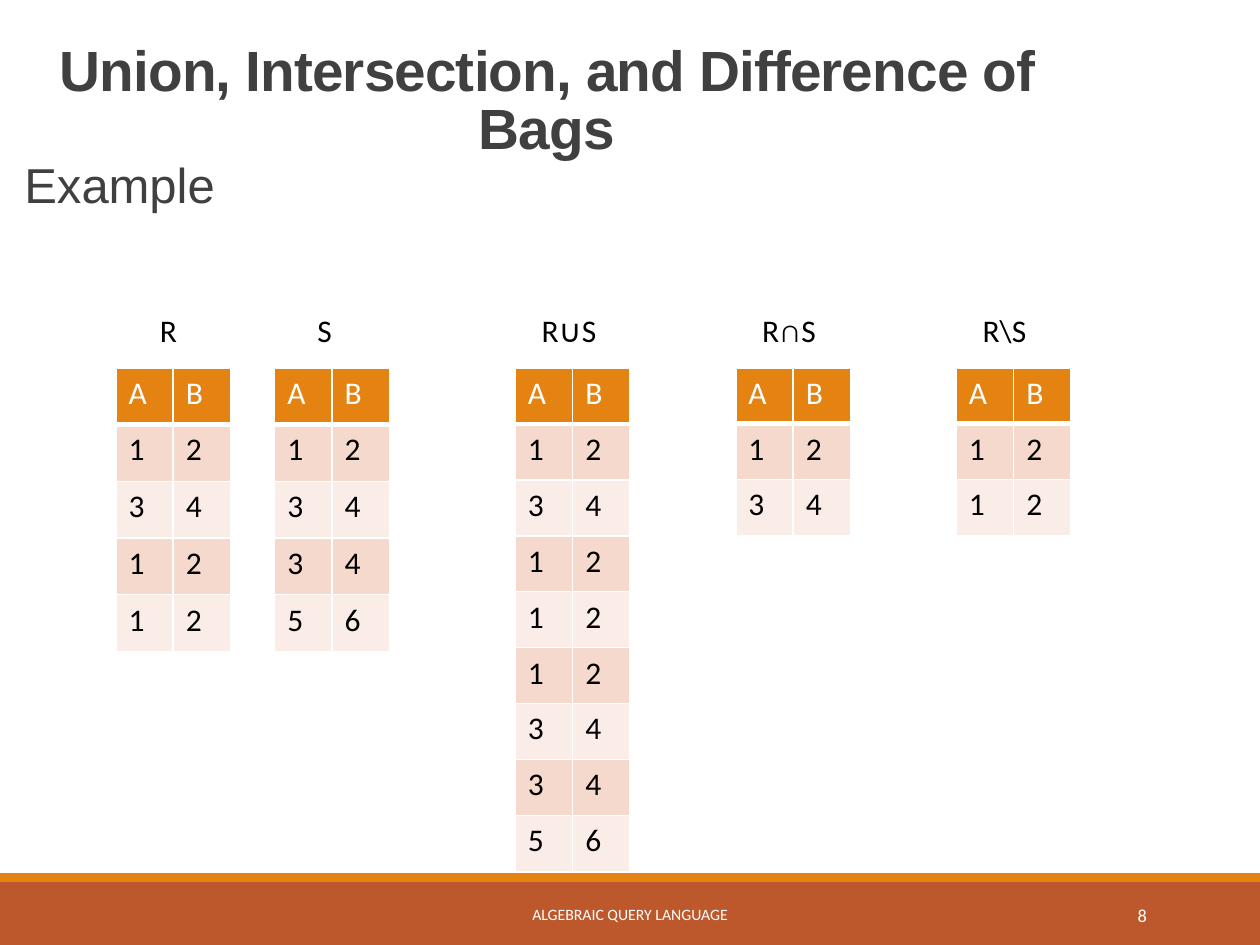
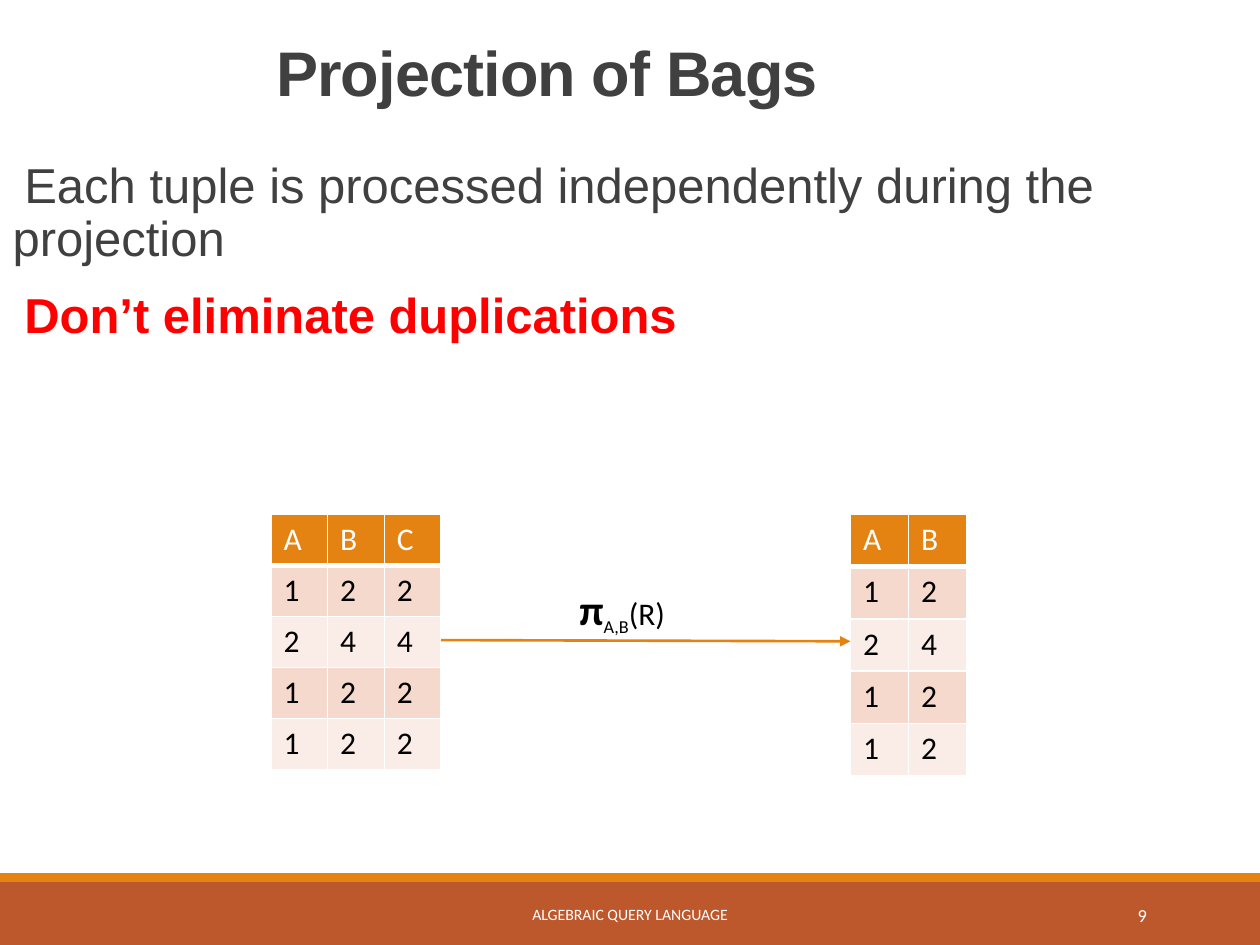
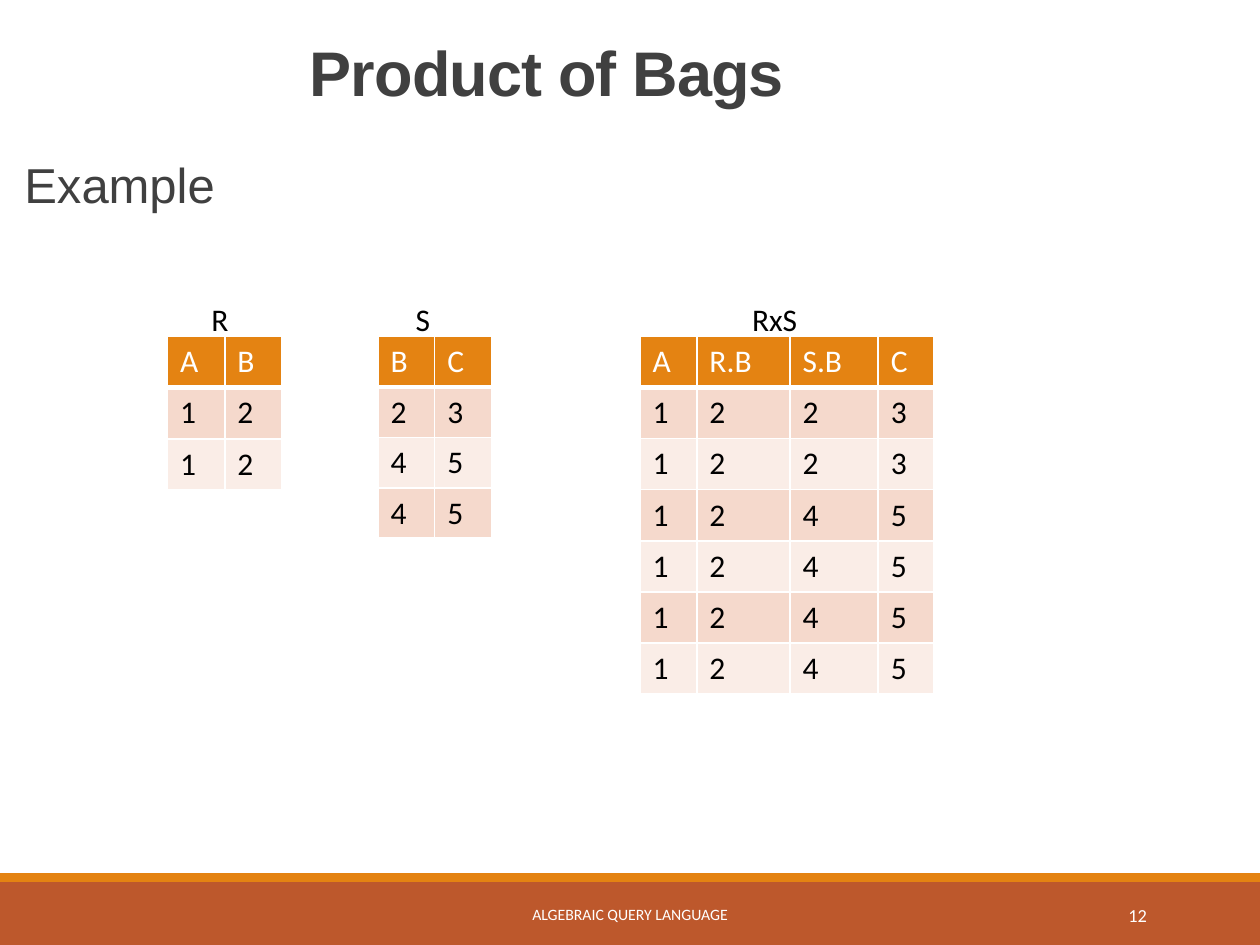
from dataclasses import dataclass
from typing import NamedTuple

from lxml import etree
from pptx import Presentation
from pptx.dml.color import RGBColor
from pptx.enum.shapes import MSO_CONNECTOR, MSO_SHAPE
from pptx.enum.text import MSO_ANCHOR, MSO_AUTO_SIZE, PP_ALIGN
from pptx.oxml.ns import qn
from pptx.util import Inches, Pt

LEFT, CENTER, RIGHT = PP_ALIGN.LEFT, PP_ALIGN.CENTER, PP_ALIGN.RIGHT
TOP, MIDDLE = MSO_ANCHOR.TOP, MSO_ANCHOR.MIDDLE
FIT_SHAPE = MSO_AUTO_SIZE.SHAPE_TO_FIT_TEXT
STRAIGHT, RECTANGLE = MSO_CONNECTOR.STRAIGHT, MSO_SHAPE.RECTANGLE


@dataclass(frozen=True)
class Theme:
    """Colours, fonts and type sizes of the deck."""
    rust: RGBColor = RGBColor(0xBD, 0x58, 0x2C)
    orange: RGBColor = RGBColor(0xE4, 0x83, 0x12)
    band_dark: RGBColor = RGBColor(0xF5, 0xD9, 0xCC)
    band_light: RGBColor = RGBColor(0xFA, 0xED, 0xE7)
    white: RGBColor = RGBColor(0xFF, 0xFF, 0xFF)
    black: RGBColor = RGBColor(0, 0, 0)
    grey: RGBColor = RGBColor(0x40, 0x40, 0x40)
    red: RGBColor = RGBColor(0xFF, 0, 0)
    heading_font: str = "Arial"
    table_font: str = "Calibri"
    title_size: float = 36
    long_title_size: float = 32.4
    body_size: float = 28
    operator_size: float = 24
    table_size: float = 18
    page_size: float = 10.5
    footer_size: float = 9


class Box(NamedTuple):
    """A region in inches."""
    left: float
    top: float
    width: float
    height: float

    def emu(self):
        """Return the region as slide lengths."""
        return [Inches(length) for length in self]


THEME = Theme()
FOOTER = Box(0, 6.93, 10, 0.57)
TITLE = Box(0, 0.31, 8.68, 0.92)
BODY = Box(0, 1.23, 8.68, 5.54)


def style_run(run, size, color, font=THEME.table_font, bold=False):
    """Set the character format of a run."""
    run.font.size = Pt(size)
    run.font.name = font
    run.font.bold = bold
    run.font.color.rgb = color


def add_text(slide, box, text, size, color, align=LEFT, anchor=TOP, wrap=True):
    """Add a one-paragraph text box and return its frame."""
    frame = slide.shapes.add_textbox(*box.emu()).text_frame
    frame.word_wrap = wrap
    frame.vertical_anchor = anchor
    if not wrap:
        frame.auto_size = FIT_SHAPE
    paragraph = frame.paragraphs[0]
    paragraph.text = text
    paragraph.alignment = align
    style_run(paragraph.runs[0], size, color)
    return frame


def add_footer(slide, box, page):
    """Draw the two bands with the course name and page number."""
    stripe = 0.07
    bands = (
        (Box(box.left, box.top + stripe, box.width, box.height - stripe), THEME.rust),
        (Box(box.left, box.top, box.width, stripe), THEME.orange),
    )
    for area, color in bands:
        band = slide.shapes.add_shape(RECTANGLE, *area.emu())
        band.shadow.inherit = False
        band.fill.solid()
        band.fill.fore_color.rgb = color
        band.line.fill.background()
    text_top = box.top + 0.13
    add_text(slide, Box(box.left + 3.02, text_top, 3.96, 0.4), "ALGEBRAIC QUERY LANGUAGE",
             THEME.footer_size, THEME.white, CENTER, MIDDLE)
    add_text(slide, Box(box.left + 8.12, text_top, 1.08, 0.4), str(page),
             THEME.page_size, THEME.white, RIGHT, MIDDLE)


def add_title(slide, box, title, size):
    """Add the centred bold title."""
    frame = add_text(slide, box, title, size, THEME.grey, CENTER)
    paragraph = frame.paragraphs[0]
    paragraph.line_spacing = 0.85
    run = paragraph.runs[0]
    style_run(run, size, THEME.grey, THEME.heading_font, True)
    run.font._element.set("spc", "-50")


def add_body(slide, box, statement, warning=None):
    """Add the statement and an optional red warning."""
    frame = slide.shapes.add_textbox(*box.emu()).text_frame
    frame.word_wrap = True
    frame.margin_left = frame.margin_right = 0
    frame.text = f"{statement}\n{warning}" if warning else statement
    for paragraph in frame.paragraphs:
        is_warning = paragraph.text == warning
        paragraph.line_spacing = 0.9
        paragraph.space_before, paragraph.space_after = Pt(12), Pt(2)
        style_run(paragraph.runs[0], THEME.body_size, THEME.red if is_warning else THEME.grey,
                  THEME.heading_font, is_warning)
        properties = paragraph._p.get_or_add_pPr()
        properties.set("marL", str(Inches(0.1)))
        properties.set("indent", str(Inches(-0.1)))
        etree.SubElement(properties, qn("a:buChar")).set("char", " ")


def add_borders(cell, bottom_width):
    """Give a cell white borders."""
    properties = cell._tc.get_or_add_tcPr()
    for side, width in (("L", 1), ("R", 1), ("T", 1), ("B", bottom_width)):
        border = etree.SubElement(properties, qn(f"a:ln{side}"), w=str(Pt(width)))
        fill = etree.SubElement(border, qn("a:solidFill"))
        etree.SubElement(fill, qn("a:srgbClr"), val=str(THEME.white))


def add_relation(slide, box, header, tuples, widths=None):
    """Draw a relation as a table with banded tuples."""
    rows = [header, *tuples]
    table = slide.shapes.add_table(len(rows), len(header), *box.emu()).table
    table.horz_banding = False
    for column, width in zip(table.columns, widths or [box.width / len(header)] * len(header)):
        column.width = Inches(width)
    for index, values in enumerate(rows):
        table.rows[index].height = Inches(box.height / len(rows))
        is_header = index == 0
        banding = THEME.band_dark if index % 2 else THEME.band_light
        for column, value in enumerate(values):
            cell = table.cell(index, column)
            add_borders(cell, 3 if is_header else 1)
            cell.fill.solid()
            cell.fill.fore_color.rgb = THEME.orange if is_header else banding
            cell.text_frame.text = str(value)
            style_run(cell.text_frame.paragraphs[0].runs[0], THEME.table_size,
                      THEME.white if is_header else THEME.black)


def add_relation_name(slide, box, name):
    """Write the name of a relation above its table."""
    add_text(slide, box, name, THEME.table_size, THEME.black, wrap=False)


def add_projection_arrow(slide, box):
    """Draw the arrow with the projection operator above it."""
    arrow = slide.shapes.add_connector(
        STRAIGHT, Inches(box.left), Inches(box.top + 0.5),
        Inches(box.left + box.width), Inches(box.top + box.height))
    arrow.line.color.rgb = THEME.orange
    arrow.line.width = Pt(1.5)
    etree.SubElement(arrow.line._get_or_add_ln(), qn("a:tailEnd"), type="triangle")
    etree.SubElement(arrow._element.spPr, qn("a:effectLst"))

    frame = add_text(slide, Box(box.left + 1, box.top, 1.02, 0.5), "π",
                     THEME.operator_size, THEME.black, wrap=False)
    paragraph = frame.paragraphs[0]
    paragraph.runs[0].font.bold = True
    for part in ("A,B", "(R)"):
        run = paragraph.add_run()
        run.text = part
        style_run(run, THEME.table_size, THEME.black)
    paragraph.runs[1].font._element.set("baseline", "-25000")


def start_slide(deck, page, title, statement, warning=None, title_size=THEME.title_size):
    """Add a slide with its footer, title and body text."""
    slide = deck.slides.add_slide(deck.slide_layouts[6])
    add_footer(slide, FOOTER, page)
    add_body(slide, BODY, statement, warning)
    add_title(slide, TITLE, title, title_size)
    return slide


def build_set_operations(deck):
    """Build the union, intersection and difference slide."""
    slide = start_slide(deck, 8, "Union, Intersection, and Difference of Bags", "Example",
                        title_size=THEME.long_title_size)
    r = [(1, 2), (3, 4), (1, 2), (1, 2)]
    s = [(1, 2), (3, 4), (3, 4), (5, 6)]
    top, result_left, result_step = 2.92, 4.09, 1.75
    relations = [
        ("R", r, 0.92, 2.25, 0.25, 0.38),
        ("S", s, 2.18, 2.25, 0.24, 0.34),
        ("R∪S", r + s, result_left, 4, 0.11, 0.72),
        ("R∩S", [(1, 2), (3, 4)], result_left + result_step, 1.33, 0.11, 0.72),
        (r"R\S", [(1, 2), (1, 2)], result_left + 2 * result_step, 1.33, 0.11, 0.64),
    ]
    for name, tuples, left, height, name_offset, name_width in relations:
        add_relation(slide, Box(left, top, 0.91, height), "AB", tuples)
        add_relation_name(slide, Box(left + name_offset, top - 0.5, name_width, 0.4), name)


def build_projection(deck):
    """Build the projection slide."""
    slide = start_slide(deck, 9, "Projection of Bags",
                        "Each tuple is processed independently during the projection",
                        "Don’t eliminate duplications")
    r = [(1, 2, 2), (2, 4, 4), (1, 2, 2), (1, 2, 2)]
    add_relation(slide, Box(2.15, 4.08, 1.35, 2.03), "ABC", r)
    add_relation(slide, Box(6.75, 4.08, 0.92, 2.08), "AB", [row[:2] for row in r])
    add_projection_arrow(slide, Box(3.5, 4.58, 3.25, 0.51))


def build_product(deck):
    """Build the product slide."""
    slide = start_slide(deck, 12, "Product of Bags", "Example")
    r = [(1, 2), (1, 2)]
    s = [(2, 3), (4, 5), (4, 5)]
    product = [left + right for right in s for left in r]
    top = 2.67
    relations = [
        ("R", "AB", r, Box(1.33, top, 0.91, 1.22), None, 0.25, 0.38),
        ("S", "BC", s, Box(3, top, 0.9, 1.6), None, 0.2, 0.34),
        ("RxS", ("A", "R.B", "S.B", "C"), product, Box(5.08, top, 2.33, 2.84),
         (0.45, 0.74, 0.7, 0.44), 0.79, 0.65),
    ]
    for name, header, tuples, box, widths, name_offset, name_width in relations:
        add_relation(slide, box, header, tuples, widths)
        add_relation_name(slide, Box(box.left + name_offset, top - 0.34, name_width, 0.4), name)


def main():
    """Build and save the deck."""
    deck = Presentation()
    deck.slide_width, deck.slide_height = Inches(10), Inches(7.5)
    build_set_operations(deck)
    build_projection(deck)
    build_product(deck)
    deck.save("out.pptx")


if __name__ == "__main__":
    main()
